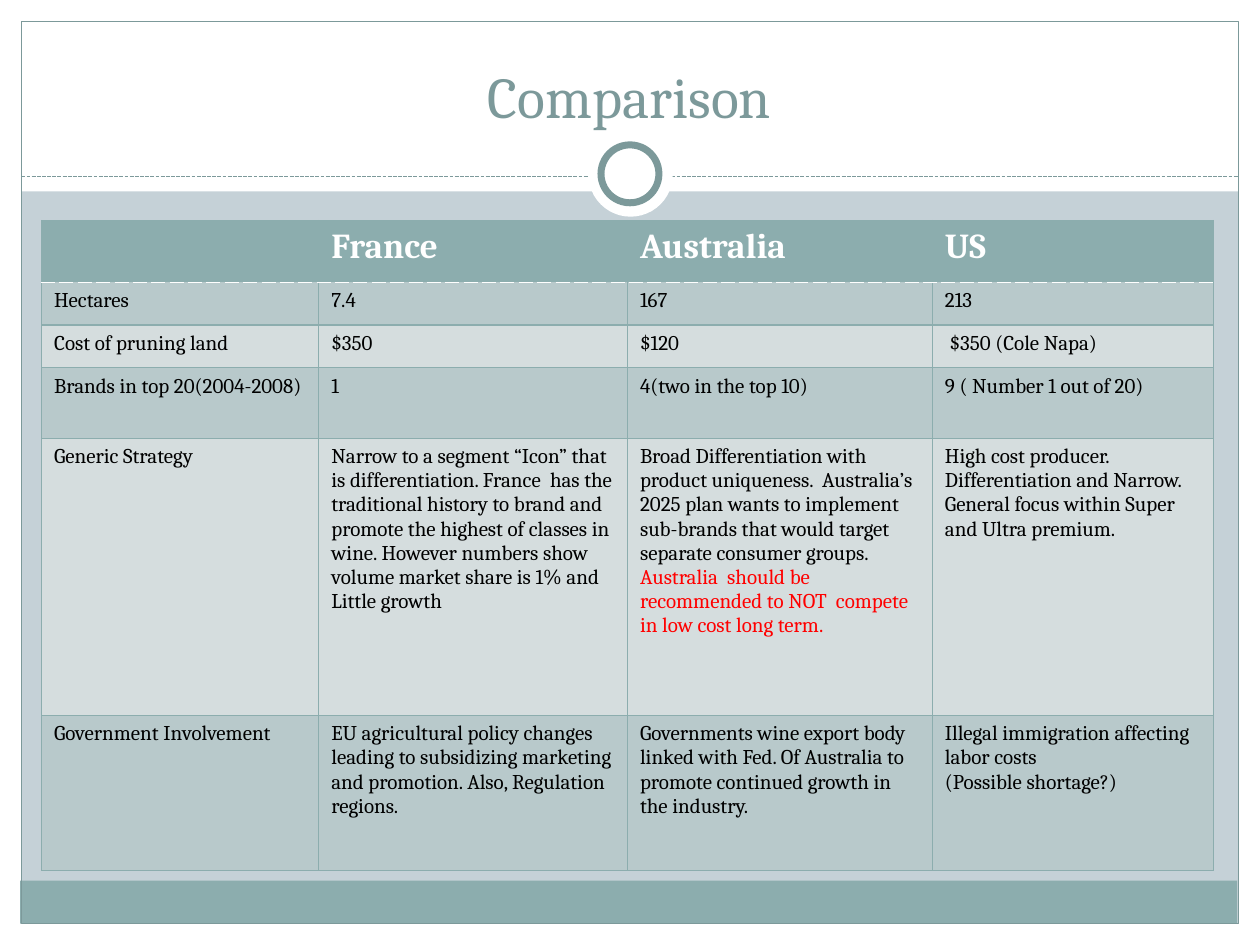
from lxml.etree import SubElement
from pptx import Presentation
from pptx.dml.color import RGBColor
from pptx.enum.dml import MSO_LINE_DASH_STYLE as Dash
from pptx.enum.shapes import MSO_CONNECTOR as Connector, MSO_SHAPE as Shape
from pptx.enum.text import MSO_ANCHOR as Anchor, PP_ALIGN as Align
from pptx.oxml import parse_xml
from pptx.oxml.ns import nsdecls, qn
from pptx.util import Inches, Pt

FONT = "Cambria"
WHITE = RGBColor(0xFF, 0xFF, 0xFF)
BLACK = RGBColor(0, 0, 0)
RED = RGBColor(0xFF, 0, 0)
BACKDROP = RGBColor(0xC5, 0xD1, 0xD7)
TEAL = RGBColor(0x8C, 0xAD, 0xAE)
DARK_TEAL = RGBColor(0x7C, 0x99, 0x9A)
DARK_BAND = RGBColor(0xB8, 0xC9, 0xCB)
LIGHT_BAND = RGBColor(0xD5, 0xDD, 0xDE)

COLUMN_WIDTHS = [2.2, 2.45, 2.42, 2.23]
ROW_HEIGHTS = [0.49, 0.34, 0.34, 0.56, 2.2, 1.23]
WARNING = "Australia  should be recommended to NOT  compete in low cost long term."
COMPARISON = [
    ["", "France", "Australia", "US"],
    ["Hectares", "7.4", "167", "213"],
    ["Cost of pruning land", "$350", "$120", " $350 (Cole Napa)"],
    ["Brands in top 20(2004-2008)", "1", "4(two in the top 10)",
     "9 ( Number 1 out of 20)"],
    ["Generic Strategy",
     "Narrow to a segment “Icon” that is differentiation. France  has the "
     "traditional history to brand and promote the highest of classes in wine. "
     "However numbers show  volume market share is 1% and Little growth",
     "Broad Differentiation with product uniqueness.  Australia’s 2025 plan "
     "wants to implement  sub-brands that would target separate consumer groups.  ",
     "High cost producer. Differentiation and Narrow. General focus within "
     "Super and Ultra premium."],
    ["Government Involvement",
     "EU agricultural policy changes leading to subsidizing marketing and "
     "promotion. Also, Regulation regions.",
     "Governments wine export body linked with Fed. Of Australia to promote "
     "continued growth in the industry.",
     "Illegal immigration affecting labor costs\n(Possible shortage?)"],
]


def style_font(font, size, color, bold=False):
    font.name = FONT
    font.size = Pt(size)
    font.color.rgb = color
    font.bold = bold


def add_panel(slide, kind, box, fill=None, line_width=None):
    panel = slide.shapes.add_shape(kind, *map(Inches, box))
    panel.shadow.inherit = False
    if fill is None:
        panel.fill.background()
    else:
        panel.fill.solid()
        panel.fill.fore_color.rgb = fill
    if line_width is None:
        panel.line.fill.background()
    else:
        panel.line.color.rgb = DARK_TEAL
        panel.line.width = Pt(line_width)


def add_divider(slide, left, right, y):
    divider = slide.shapes.add_connector(
        Connector.STRAIGHT, Inches(left), Inches(y), Inches(right), Inches(y))
    divider.line.color.rgb = DARK_TEAL
    divider.line.width = Pt(0.75)
    divider.line.dash_style = Dash.SQUARE_DOT
    SubElement(divider.element.spPr, qn("a:effectLst"))


def add_frame(slide):
    for box in [(0, 7.33, 10, 0.17), (0, 0, 10, 1.52),
                (0, 0, 0.17, 7.5), (9.83, 0, 0.17, 7.5)]:
        add_panel(slide, Shape.RECTANGLE, box, WHITE)
    add_panel(slide, Shape.RECTANGLE, (0.16, 6.99, 9.66, 0.34), TEAL)
    add_panel(slide, Shape.RECTANGLE, (0.17, 0.17, 9.66, 7.16), line_width=0.75)
    add_divider(slide, 0.17, 9.83, 1.4)
    add_panel(slide, Shape.OVAL, (4.67, 1.05, 0.67, 0.67), WHITE)
    add_panel(slide, Shape.OVAL, (4.77, 1.15, 0.46, 0.46), WHITE, 4)


def place_title(slide, wording):
    title = slide.shapes.title
    slide.shapes.element.append(title.element)
    title.left, title.top = Inches(0.33), Inches(0.25)
    title.width, title.height = Inches(9.33), Inches(0.83)
    frame = title.text_frame
    frame.text = wording
    frame.vertical_anchor = Anchor.BOTTOM
    frame.paragraphs[0].alignment = Align.CENTER
    style_font(frame.paragraphs[0].runs[0].font, 33, DARK_TEAL)


def set_borders(cell, row):
    header_edge = {0: "lnB", 1: "lnT"}.get(row)
    properties = cell._tc.get_or_add_tcPr()
    for position, side in enumerate(["lnL", "lnR", "lnT", "lnB"]):
        color, width, dash = TEAL, 0.75, "solid"
        if side == header_edge:
            color, width, dash = WHITE, 0.9, "sysDash"
        properties.insert(position, parse_xml(
            f'<a:{side} {nsdecls("a")} w="{Pt(width)}"><a:solidFill>'
            f'<a:srgbClr val="{color}"/></a:solidFill>'
            f'<a:prstDash val="{dash}"/></a:{side}>'))


def fill_cell(cell, row, wording):
    header = row == 0
    cell.fill.solid()
    cell.fill.fore_color.rgb = TEAL if header else DARK_BAND if row % 2 else LIGHT_BAND
    set_borders(cell, row)
    cell.text_frame.text = wording
    for paragraph in cell.text_frame.paragraphs:
        style_font(paragraph.font, 20 if header else 12, WHITE, header)
        for run in paragraph.runs:
            style_font(run.font, 20 if header else 12, WHITE if header else BLACK, header)


def add_comparison(slide):
    table = slide.shapes.add_table(
        len(ROW_HEIGHTS), len(COLUMN_WIDTHS), Inches(0.33), Inches(1.75),
        Inches(sum(COLUMN_WIDTHS)), Inches(sum(ROW_HEIGHTS))).table
    for column, width in zip(table.columns, COLUMN_WIDTHS):
        column.width = Inches(width)
    for row, height in enumerate(ROW_HEIGHTS):
        table.rows[row].height = Inches(height)
        for column, wording in enumerate(COMPARISON[row]):
            fill_cell(table.cell(row, column), row, wording)
    warning = table.cell(4, 2).text_frame.paragraphs[0].add_run()
    warning.text = WARNING
    style_font(warning.font, 12, RED)


def main():
    deck = Presentation()
    deck.slide_width, deck.slide_height = Inches(10), Inches(7.5)
    slide = deck.slides.add_slide(deck.slide_layouts[5])
    slide.background.fill.solid()
    slide.background.fill.fore_color.rgb = BACKDROP
    add_frame(slide)
    place_title(slide, "Comparison")
    add_comparison(slide)
    deck.save("out.pptx")


if __name__ == "__main__":
    main()
